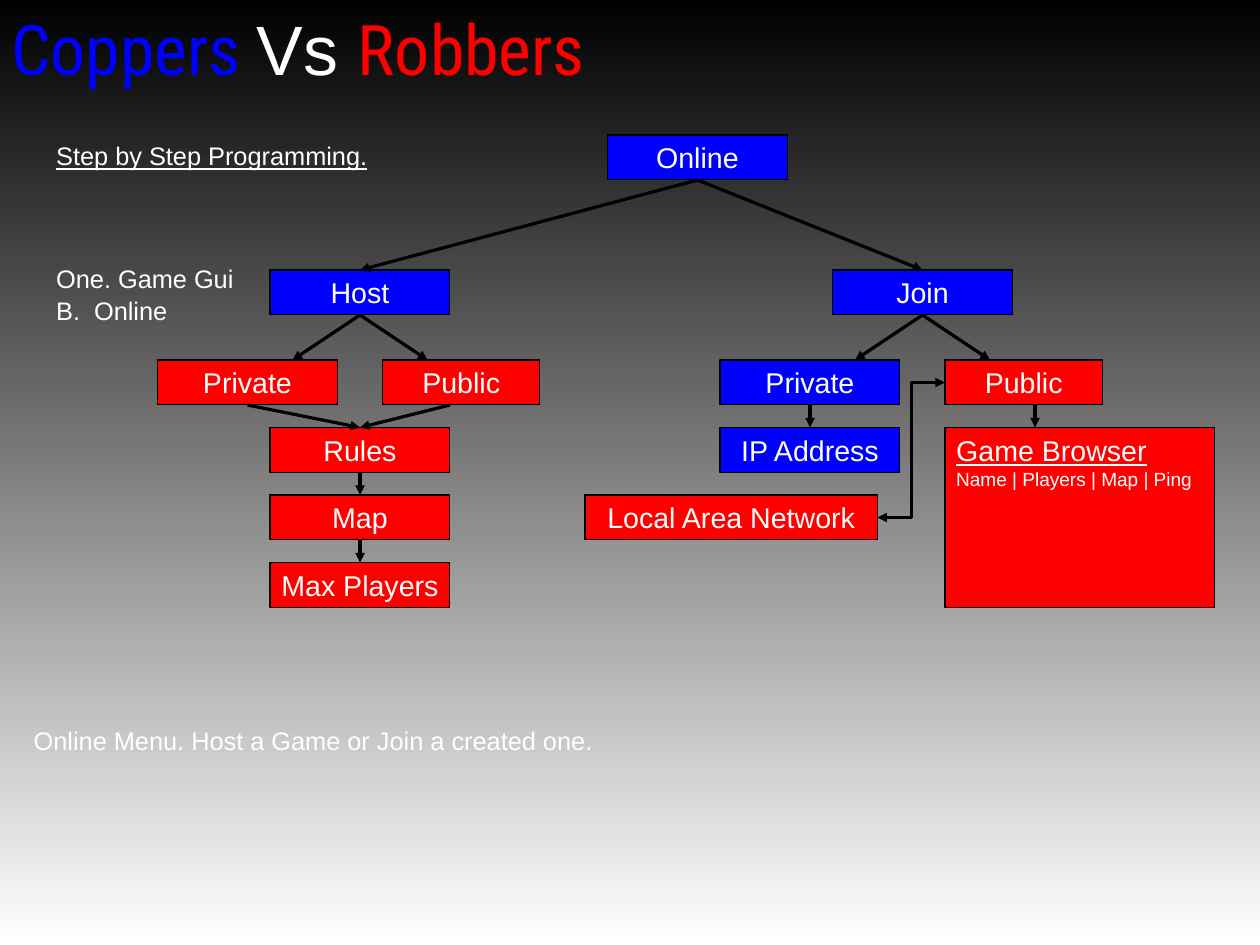
from lxml.etree import SubElement
from pptx import Presentation
from pptx.dml.color import RGBColor
from pptx.enum.shapes import MSO_CONNECTOR as LINK, MSO_SHAPE
from pptx.enum.text import MSO_ANCHOR as ANCHOR, PP_ALIGN as ALIGN
from pptx.oxml.ns import qn
from pptx.util import Pt

PX = 36000  # EMU per px: one px is a millimetre, the diagram's grid is 5 px
SLIDE_W, SLIDE_H = 280, 210
BLACK, WHITE, BLUE, RED = "000000", "FFFFFF", "0000FF", "FF0000"
ARIAL, CONDENSED = "Arial", "Roboto Condensed"
BOX_H = 10

TITLE = [("Coppers ", CONDENSED, BLUE), ("Vs ", ARIAL, WHITE), ("Robbers", CONDENSED, RED)]

# left, top, width, height, lines of (text, size, underline, space before)
NOTES = [
    (10, 30, 120, 59, [("Step by Step Programming.", 16, True, 0),
                       ("One. Game Gui", 16, False, 58),
                       ("B.  Online", 16, False, 1)]),
    (5, 160, 270, 9, [("Online Menu. Host a Game or Join a created one.", 16, False, 0)]),
]

# key: text, left, top, width, fill
BOXES = {
    "online": ("Online", 135, 30, 40, BLUE),
    "host": ("Host", 60, 60, 40, BLUE),
    "join": ("Join", 185, 60, 40, BLUE),
    "host private": ("Private", 35, 80, 40, RED),
    "host public": ("Public", 85, 80, 35, RED),
    "rules": ("Rules", 60, 95, 40, RED),
    "map": ("Map", 60, 110, 40, RED),
    "players": ("Max Players", 60, 125, 40, RED),
    "join private": ("Private", 160, 80, 40, BLUE),
    "join public": ("Public", 210, 80, 35, RED),
    "address": ("IP Address", 160, 95, 40, BLUE),
    "lan": ("Local Area Network", 130, 110, 65, RED),
}
BROWSER = (210, 95, 60, 40)
BROWSER_LINES = [("Game Browser", 18, True, 0), ("Name | Players | Map | Ping", 12, False, 0)]

# from box, x at its bottom edge, x at the next row, top of the next row
ARROWS = [
    ("online", 155, 205, 60), ("online", 155, 80, 60),
    ("join", 205, 220, 80), ("join", 205, 190, 80),
    ("join private", 180, 180, 95), ("join public", 230, 230, 95),
    ("host", 80, 95, 80), ("host", 80, 65, 80),
    ("host public", 100, 80, 95), ("host private", 55, 80, 95),
    ("rules", 80, 80, 110), ("map", 80, 80, 125),
]


def rgb(color):
    return RGBColor.from_string(color)


def emu(*lengths):
    return [n * PX for n in lengths]


def style(font, size, color=WHITE, name=ARIAL, underline=False):
    font.size, font.name, font.underline = Pt(size), name, underline
    font.color.rgb = rgb(color)


def write(tf, lines, align=ALIGN.LEFT):
    tf.word_wrap = True
    for i, (text, size, underline, before) in enumerate(lines):
        p = tf.add_paragraph() if i else tf.paragraphs[0]
        p.text, p.alignment, p.space_before = text, align, Pt(before)
        style(p.font, size, underline=underline)


def add_box(s, left, top, width, height, fill):
    sp = s.shapes.add_shape(MSO_SHAPE.RECTANGLE, *emu(left, top, width, height))
    sp.shadow.inherit = False
    sp.fill.solid()
    sp.fill.fore_color.rgb = rgb(fill)
    sp.line.color.rgb = rgb(BLACK)
    sp.line.width = 0
    return sp.text_frame


def add_arrow(s, kind, x1, y1, x2, y2, ends=("tailEnd",)):
    link = s.shapes.add_connector(kind, *emu(x1, y1, x2, y2))
    link.line.color.rgb = rgb(BLACK)
    link.line.width = 0
    for end in ends:
        SubElement(link.line._get_or_add_ln(), qn("a:" + end), type="triangle")
    SubElement(link._element.spPr, qn("a:effectLst"))


prs = Presentation()
prs.slide_width, prs.slide_height = emu(SLIDE_W, SLIDE_H)
s = prs.slides.add_slide(prs.slide_layouts[6])

fill = s.background.fill
fill.gradient()
fill.gradient_angle = 270
for stop, color in zip(fill.gradient_stops, (BLACK, WHITE)):
    stop.color.rgb = rgb(color)

title = s.shapes.add_textbox(*emu(0, 0, 145, 45)).text_frame
title.word_wrap = True
for text, name, color in TITLE:
    r = title.paragraphs[0].add_run()
    r.text = text
    style(r.font, 44, color, name)

for left, top, width, height, lines in NOTES:
    write(s.shapes.add_textbox(*emu(left, top, width, height)).text_frame, lines)

for text, left, top, width, color in BOXES.values():
    tf = add_box(s, left, top, width, BOX_H, color)
    tf.vertical_anchor = ANCHOR.MIDDLE
    write(tf, [(text, 18, False, 0)], ALIGN.CENTER)

browser = add_box(s, *BROWSER, RED)
browser.vertical_anchor = ANCHOR.TOP
write(browser, BROWSER_LINES)

for key, x1, x2, y2 in ARROWS:
    add_arrow(s, LINK.STRAIGHT, x1, BOXES[key][2] + BOX_H, x2, y2)

_, public_left, public_top, _, _ = BOXES["join public"]
_, lan_left, lan_top, lan_width, _ = BOXES["lan"]
add_arrow(s, LINK.ELBOW, public_left, public_top + BOX_H // 2,
          lan_left + lan_width, lan_top + BOX_H // 2, ("headEnd", "tailEnd"))

prs.save("out.pptx")
